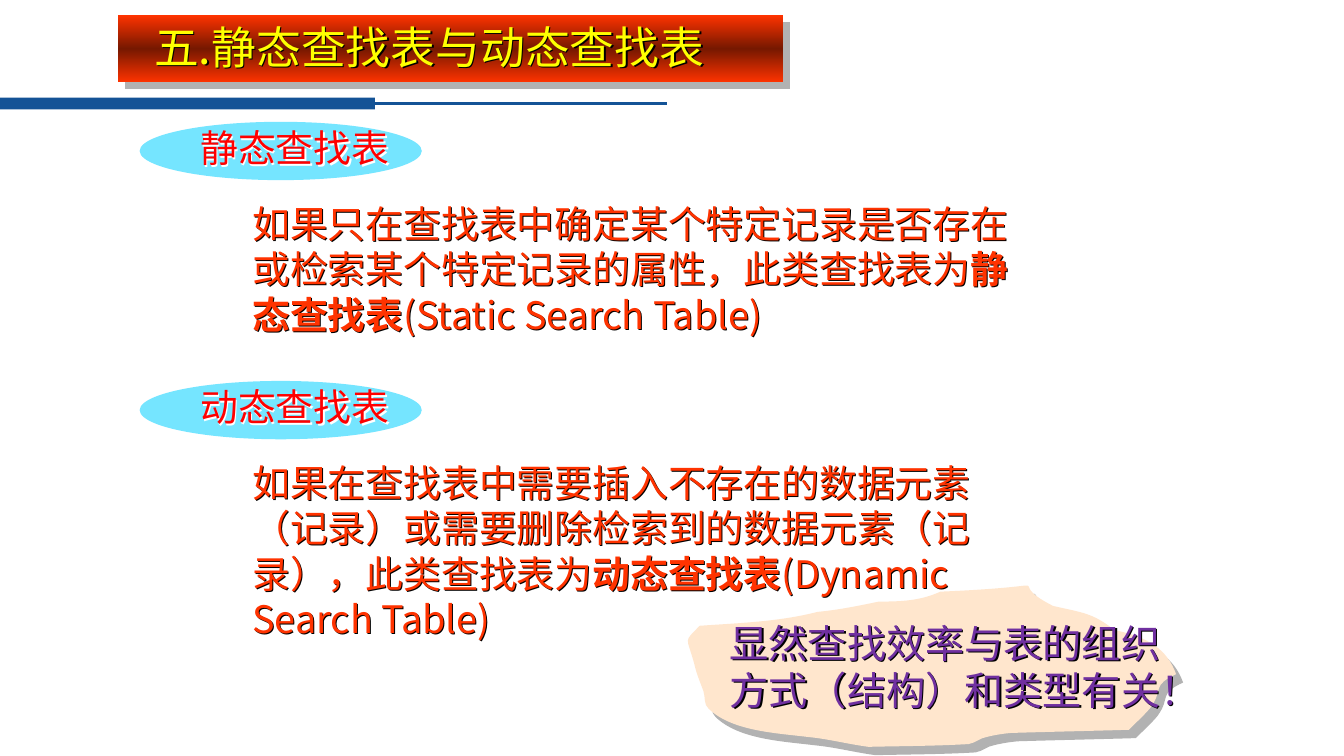
from lxml import etree
from pptx import Presentation
from pptx import util as u
from pptx.dml.color import RGBColor
from pptx.enum import shapes, text
from pptx.oxml import parse_xml
from pptx.oxml.ns import nsdecls, qn

CJK_SC = "Noto Sans CJK SC"
CJK_JP = "Noto Sans CJK JP"
BLUE, CYAN, ORANGE, GREY = "145396", "75E5FF", "FF3300", "B2B2B2"

CALLOUT_START = (22.15, 15.16)
CALLOUT_CURVES = [
    ((21.62, 15.27), (21.13, 15.37), (20.6, 15.42)),
    ((19.63, 15.67), (18.62, 15.7), (17.63, 15.77)),
    ((17.22, 16.21), (17.3, 16), (17.5, 16.74)),
    ((17.55, 16.97), (17.65, 17.2), (17.73, 17.42)),
    ((17.78, 17.58), (17.73, 17.75), (17.86, 17.86)),
    ((18.44, 18.42), (19.53, 18.47), (20.35, 18.57)),
    ((20.88, 18.62), (21.36, 18.75), (21.89, 18.82)),
    ((22.73, 18.8), (23.57, 18.8), (24.41, 18.75)),
    ((24.59, 18.72), (24.71, 18.59), (24.87, 18.57)),
    ((25.07, 18.52), (25.27, 18.49), (25.48, 18.47)),
    ((26.47, 18.44), (27.46, 18.42), (28.45, 18.39)),
    ((28.52, 18.31), (28.96, 17.91), (29.03, 17.78)),
    ((29.31, 17.37), (29.03, 17.27), (29.64, 16.99)),
    ((29.41, 16.36), (28.93, 16.05), (28.09, 15.88)),
    ((27.53, 15.44), (27.28, 15.44), (26.54, 15.27)),
    ((25.07, 14.53), (27.25, 14.76), (23.7, 14.91)),
    ((23.19, 15.14), (22.73, 15.16), CALLOUT_START),
]


def rgb(value):
    return RGBColor.from_string(value)


def set_attrs(obj, **fmt):
    for name, value in fmt.items():
        setattr(obj, name, value)


def add_shadow(sp, color, dist, angle=45):
    sp.shadow.inherit = False
    sp._element.spPr.find(qn("a:effectLst")).append(parse_xml(
        f'<a:outerShdw {nsdecls("a")} dist="{u.Pt(dist)}" dir="{angle * 60000}" '
        f'algn="ctr" rotWithShape="0"><a:srgbClr val="{color}"/></a:outerShdw>'))


def paint(sp, color):
    sp.shadow.inherit = False
    sp.fill.solid()
    sp.fill.fore_color.rgb = rgb(color)
    sp.line.fill.background()


def add_block(s, kind, box, color):
    sp = s.shapes.add_shape(kind, *map(u.Cm, box))
    paint(sp, color)
    return sp


def add_banner(s, box):
    sp = add_block(s, shapes.MSO_SHAPE.RECTANGLE, box, ORANGE)
    stops = "".join(
        f'<a:gs pos="{pos * 1000}"><a:srgbClr val="{color}"/></a:gs>'
        for pos, color in ((0, ORANGE), (50, "761800"), (100, ORANGE)))
    solid = sp._element.spPr.find(qn("a:solidFill"))
    solid.getparent().replace(solid, parse_xml(
        f'<a:gradFill {nsdecls("a")} rotWithShape="1"><a:gsLst>{stops}</a:gsLst>'
        '<a:lin ang="5400000" scaled="1"/></a:gradFill>'))
    add_shadow(sp, GREY, 7.1)


def add_rule(s, x1, x2, y):
    line = s.shapes.add_connector(
        shapes.MSO_CONNECTOR.STRAIGHT, *map(u.Cm, (x1, y, x2, y)))
    line.line.color.rgb = rgb(BLUE)
    line.line.width = u.Pt(2.25)
    etree.SubElement(line._element.spPr, qn("a:effectLst"))


def add_callout(s):
    fb = s.shapes.build_freeform(*map(u.Cm, CALLOUT_START))
    fb.add_line_segments(
        [tuple(map(u.Cm, point)) for curve in CALLOUT_CURVES for point in curve], close=True)
    sp = fb.convert_to_shape()
    segments = list(sp._element.iter(qn("a:lnTo")))
    for first, second, end in zip(segments[::3], segments[1::3], segments[2::3]):
        curve = etree.Element(qn("a:cubicBezTo"))
        first.addprevious(curve)
        for segment in (first, second, end):
            curve.append(segment[0])
            segment.getparent().remove(segment)
    paint(sp, "FFE6CD")
    add_shadow(sp, GREY, 7.8, 50)


def write(sp, runs, size, font, color, shadow="000000", dist=1.5, before=0):
    tf = sp.text_frame
    set_attrs(tf, word_wrap=True, auto_size=text.MSO_AUTO_SIZE.NONE,
              vertical_anchor=text.MSO_ANCHOR.TOP)
    p = tf.paragraphs[0]
    set_attrs(p, alignment=text.PP_ALIGN.LEFT, line_spacing=1.0,
              space_before=u.Pt(before))
    for content, bold in runs:
        r = p.add_run()
        r.text = content
        set_attrs(r.font, size=u.Pt(size), bold=bold, name=font)
        r.font.color.rgb = rgb(color)
        ea = etree.Element(qn("a:ea"), typeface=font)
        r.font._element.find(qn("a:latin")).addnext(ea)
    add_shadow(sp, shadow, dist)


def add_text(s, box, runs, size, font, color, **fmt):
    sp = s.shapes.add_textbox(*map(u.Cm, box))
    write(sp, runs, size, font, color, **fmt)


def add_section(s, top, height, name, intro, english):
    add_block(s, shapes.MSO_SHAPE.OVAL, (3.52, top, 7.11, 1.47), CYAN)
    add_text(s, (4.8, top - 0.05, 8.1, 1.42), [(name, False)], 27, "Calibri",
             "FF0000", shadow="FFFFFF")
    add_text(s, (6.11, top + 1.86, 19.89, height),
             [(intro, False), (name, True), (english, False)],
             27, CJK_SC, ORANGE, dist=1)


def add_title(s, content):
    title = s.shapes.title
    set_attrs(title, left=u.Cm(3.63), top=u.Cm(0.36), width=u.Cm(16.76), height=u.Cm(1.63))
    write(title, [(content, False)], 32, CJK_SC, "FFFF00")
    s.shapes._spTree.append(title._element)


def main():
    prs = Presentation()
    set_attrs(prs, slide_width=u.Cm(33.87), slide_height=u.Cm(19.05))
    s = prs.slides.add_slide(prs.slide_layouts[5])
    add_block(s, shapes.MSO_SHAPE.RECTANGLE, (0, 2.46, 9.45, 0.3), BLUE)
    add_rule(s, 9.35, 16.81, 2.6)
    add_section(
        s, 3.07, 3.71, "静态查找表",
        "如果只在查找表中确定某个特定记录是否存在或检索某个特定记录的属性，此类查找表为",
        "(Static Search Table)")
    add_banner(s, (2.97, 0.38, 16.76, 1.7))
    add_title(s, "五.静态查找表与动态查找表")
    add_section(
        s, 9.6, 4.88, "动态查找表",
        "如果在查找表中需要插入不存在的数据元素（记录）或需要删除检索到的数据元素（记录），此类查找表为",
        "(Dynamic Search Table)")
    add_callout(s)
    add_text(s, (18.14, 15.47, 11.51, 2.64),
             [("显然查找效率与表的组织方式（结构）和类型有关！", False)], 28, CJK_JP, "7030A0")
    prs.save("out.pptx")


if __name__ == "__main__":
    main()
